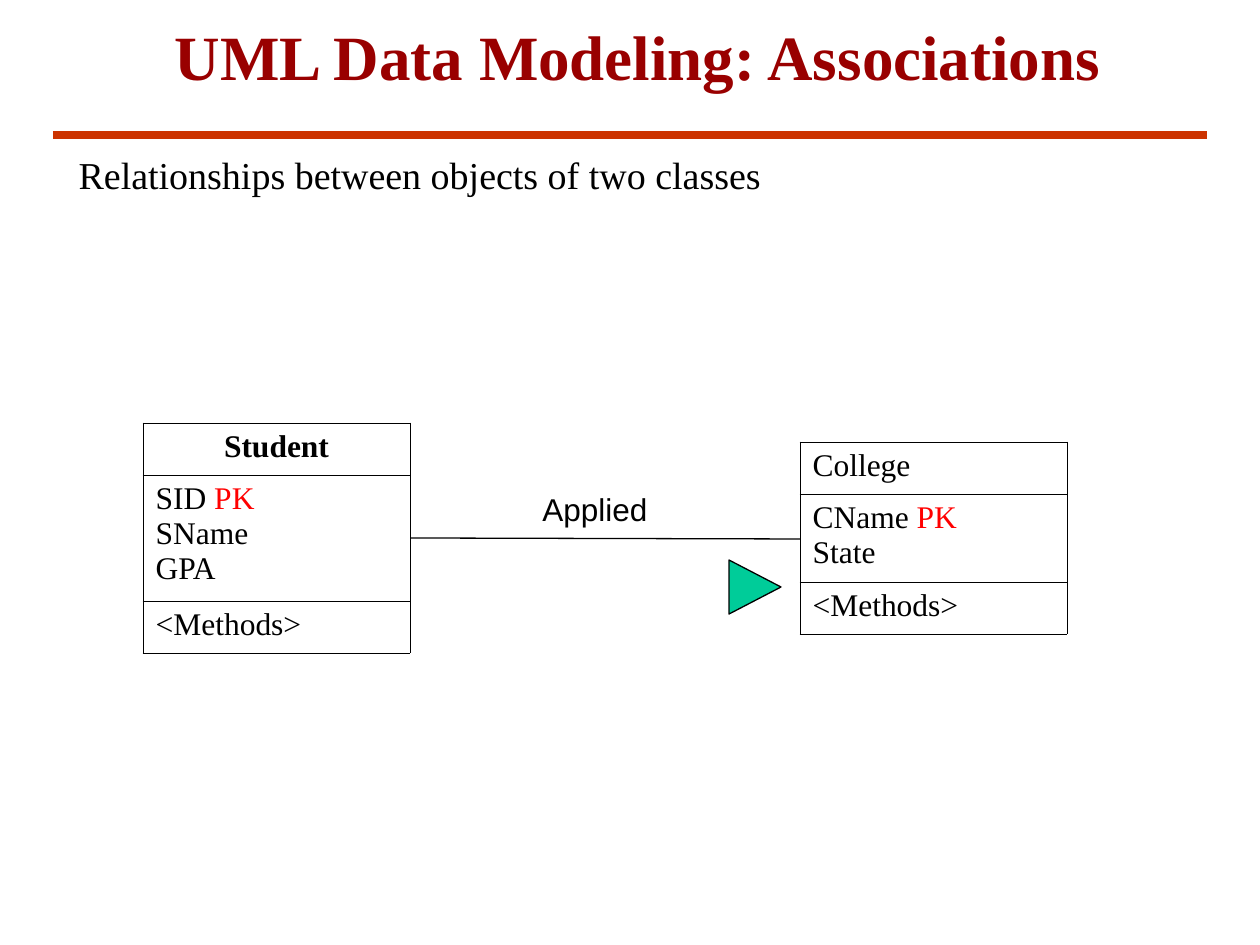
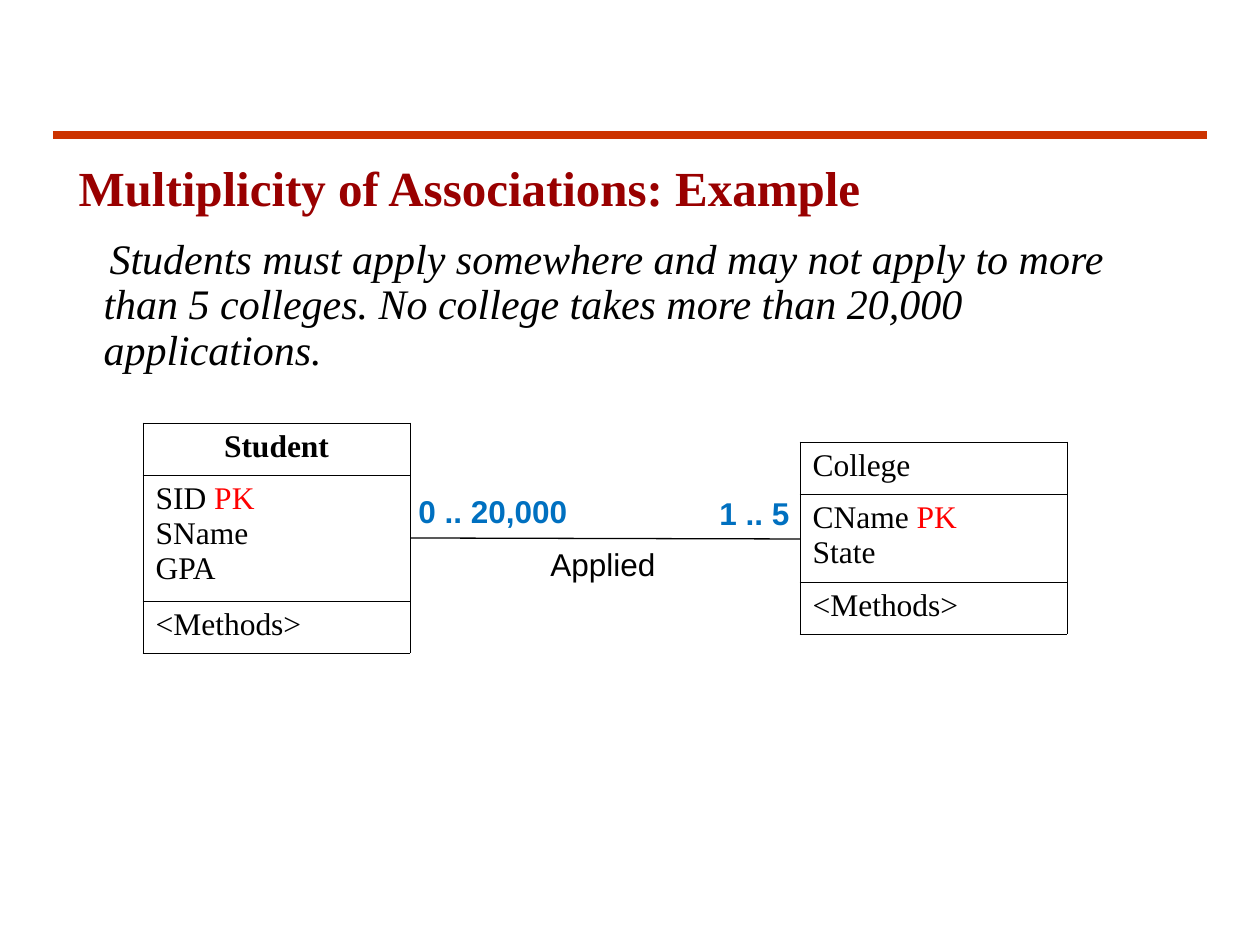
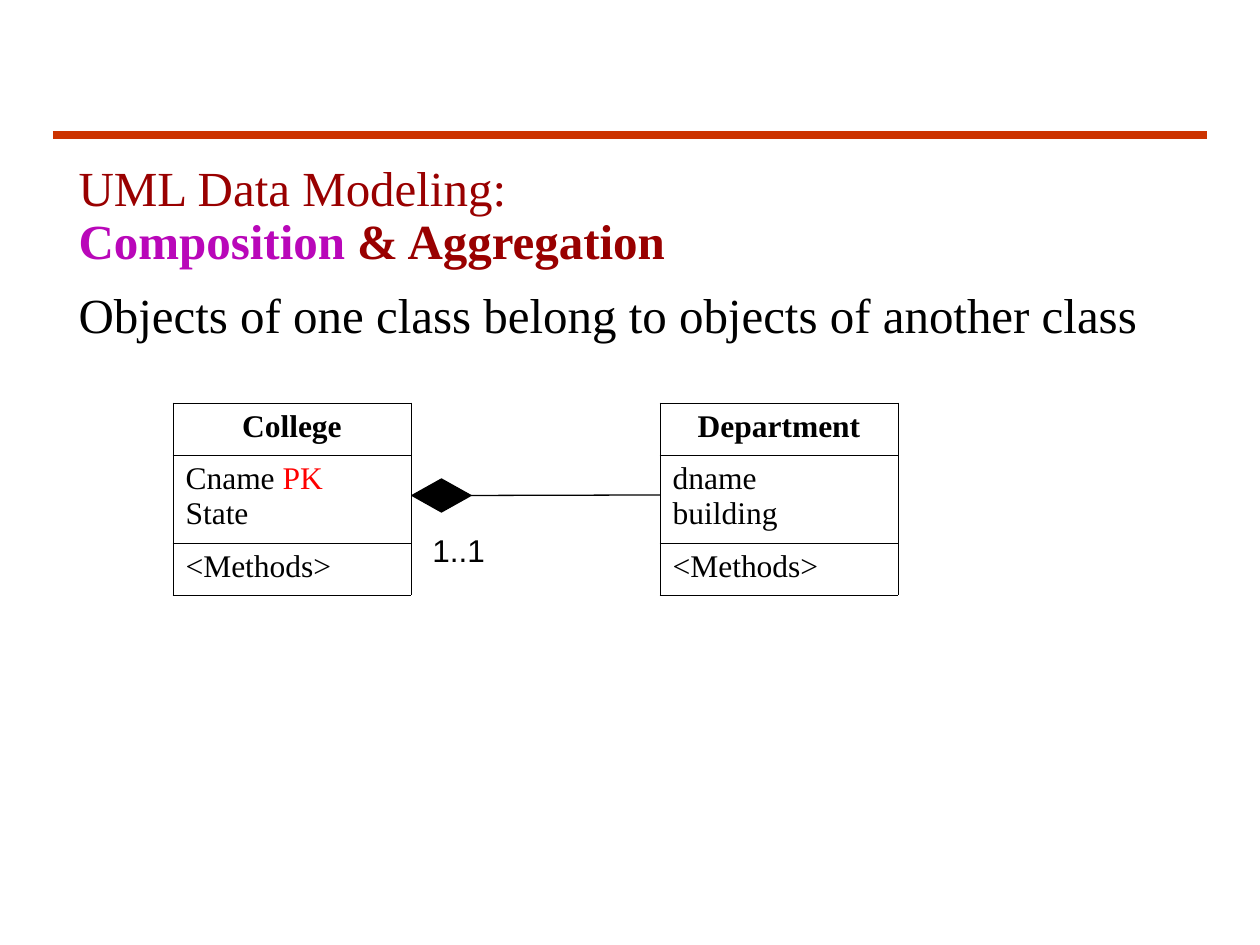
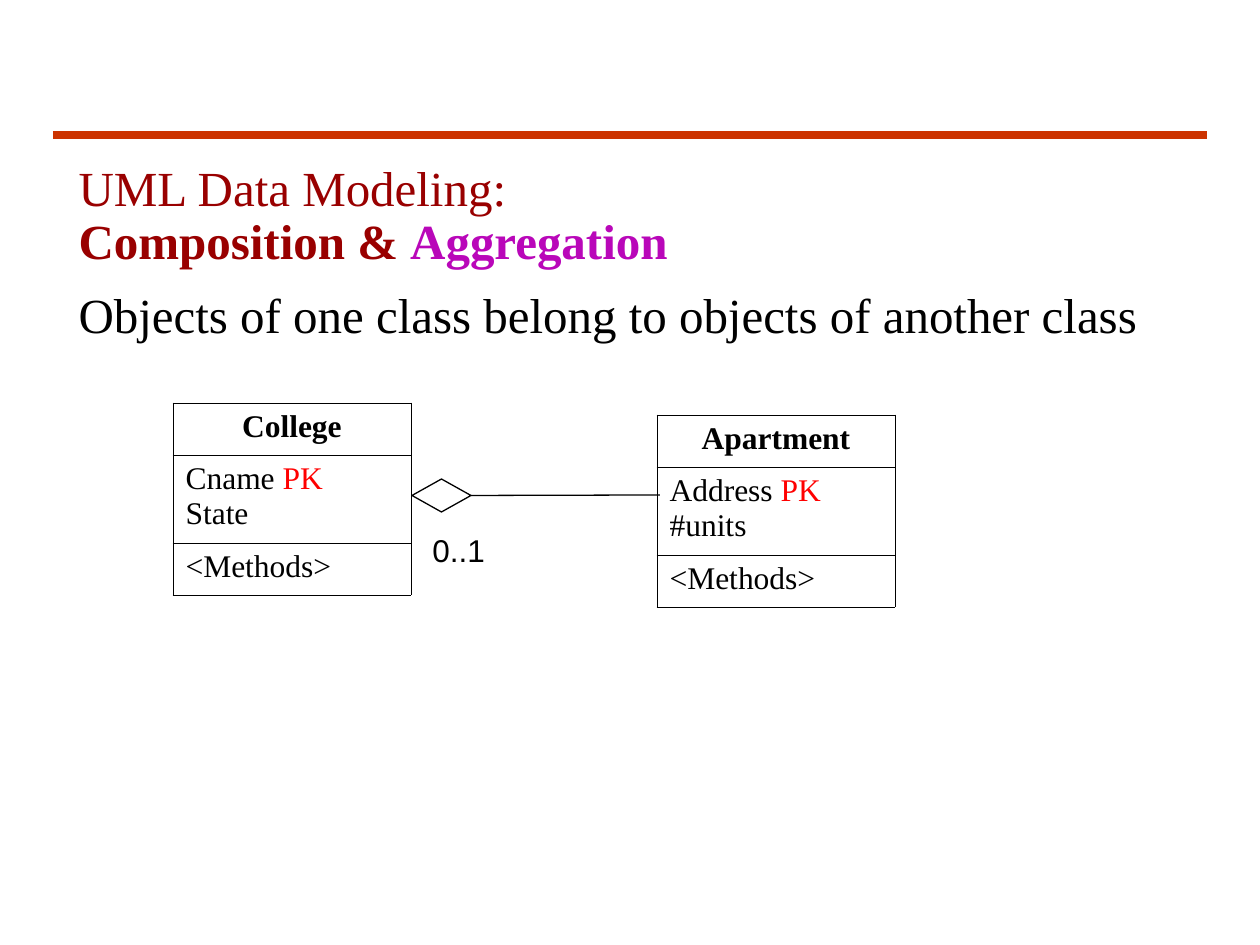
from dataclasses import dataclass

from lxml.etree import SubElement
from pptx import Presentation
from pptx.dml.color import RGBColor
from pptx.enum.shapes import MSO_CONNECTOR, MSO_SHAPE
from pptx.enum.text import MSO_ANCHOR, MSO_AUTO_SIZE, PP_ALIGN
from pptx.oxml.ns import qn
from pptx.util import Emu, Pt

EMU_PER_PX = 914400 / 126


def px(n):
    return Emu(round(n * EMU_PER_PX))


@dataclass(frozen=True)
class Theme:
    serif: str = "Times New Roman"
    sans: str = "Arial"
    black: str = "000000"
    dark_red: str = "990000"
    rule: str = "CC3300"
    key: str = "FF0000"
    accent: str = "B907B9"
    count: str = "0070C0"
    marker: str = "00CC99"
    title: float = 36
    heading: float = 28
    quote: float = 24
    lead: float = 21.7
    label: float = 18
    line: float = 0.75
    border: float = 0.45


T = Theme()


def add_text(p, text, size=T.label, font=T.serif, color=T.black, bold=False, italic=False):
    r = p.add_run()
    r.text = text
    f = r.font
    f.size, f.name, f.bold, f.italic = Pt(size), font, bold, italic
    f.color.rgb = RGBColor.from_string(color)


def format_paragraph(p, spacing, before=0, after=6, first=-25, align=PP_ALIGN.LEFT):
    """Hanging paragraph without a bullet."""
    pPr = p._p.get_or_add_pPr()
    pPr.set("marL", str(px(38)))
    pPr.set("indent", str(px(first)))
    SubElement(pPr, qn("a:buNone"))
    p.line_spacing = spacing
    p.space_before, p.space_after = Pt(before), Pt(after)
    p.alignment = align


class Deck:
    def __init__(self):
        self.prs = Presentation()
        self.prs.slide_width, self.prs.slide_height = px(1260), px(945)
        self.s = None

    def new_slide(self):
        self.s = self.prs.slides.add_slide(self.prs.slide_layouts[1])

    def place(self, sp, x, y, w, h):
        sp.left, sp.top, sp.width, sp.height = px(x), px(y), px(w), px(h)
        tf = sp.text_frame
        tf.word_wrap = True
        tf.auto_size = MSO_AUTO_SIZE.NONE
        tf.vertical_anchor = MSO_ANCHOR.TOP
        return tf

    def title(self, text=None):
        sp = self.s.shapes.title
        if text is None:
            sp.element.getparent().remove(sp.element)
            return
        p = self.place(sp, 111, 26, 1040, 90).paragraphs[0]
        format_paragraph(p, 0.8, align=PP_ALIGN.CENTER)
        add_text(p, text, size=T.title, color=T.dark_red, bold=True)

    def body(self, paragraphs, w=1144, h=627, spacing=0.9):
        """Each paragraph is a pair: its layout and its list of (text, format) runs."""
        tf = self.place(self.s.placeholders[1], 53, 158, w, h)
        for i, (layout, runs) in enumerate(paragraphs):
            p = tf.add_paragraph() if i else tf.paragraphs[0]
            format_paragraph(p, spacing, **layout)
            for text, style in runs:
                add_text(p, text, **style)

    def label(self, text, x, y, w, **style):
        sp = self.s.shapes.add_textbox(px(x), px(y), px(w), px(50))
        sp.text_frame.word_wrap = True
        add_text(sp.text_frame.paragraphs[0], text, font=T.sans, **style)

    def line(self, x1, y1, x2, y2, color=T.black, width=T.line):
        ln = self.s.shapes.add_connector(MSO_CONNECTOR.STRAIGHT, px(x1), px(y1), px(x2), px(y2))
        ln.line.color.rgb = RGBColor.from_string(color)
        ln.line.width = Pt(width)
        SubElement(ln.element.spPr, qn("a:effectLst"))
        return ln

    def master_rule(self):
        """Draw the band under the title and hand it to the master."""
        rule = self.line(53, 135, 1207, 135, T.rule, 4.5)
        rule.element.nvCxnSpPr.cNvPr.set("id", "20")
        self.prs.slide_master.element.cSld.spTree.append(rule.element)

    def shape(self, kind, x, y, w, h, fill=None, rotation=0):
        sp = self.s.shapes.add_shape(kind, px(x), px(y), px(w), px(h))
        sp.shadow.inherit = False
        sp.rotation = rotation
        if fill:
            sp.fill.solid()
            sp.fill.fore_color.rgb = RGBColor.from_string(fill)
        else:
            sp.fill.background()
        sp.line.color.rgb = RGBColor.from_string(T.black)
        sp.line.width = Pt(T.line)
        return sp

    def borders(self, cell):
        tcPr = cell._tc.get_or_add_tcPr()
        for i, side in enumerate(("lnL", "lnR", "lnT", "lnB")):
            ln = tcPr.makeelement(qn("a:" + side), {"w": str(Pt(T.border))})
            SubElement(SubElement(ln, qn("a:solidFill")), qn("a:srgbClr"), val=T.black)
            tcPr.insert(i, ln)

    def uml_class(self, name, attributes, x, y, w, middle=88, strong=True):
        """UML class: name, attributes (PK in red) and methods."""
        heights = (52, middle, 52)
        frame = self.s.shapes.add_table(3, 1, px(x), px(y), px(w), px(sum(heights)))
        table = frame.table
        table.first_row = table.horz_banding = False
        for row, height, lines in zip(table.rows, heights, ([name], attributes, ["<Methods>"])):
            row.height = px(height)
            cell = row.cells[0]
            cell.fill.background()
            self.borders(cell)
            tf = cell.text_frame
            for i, text in enumerate(lines):
                p = tf.add_paragraph() if i else tf.paragraphs[0]
                plain, key, _ = text.partition("PK")
                add_text(p, plain, bold=strong and lines == [name])
                if key:
                    add_text(p, key, color=T.key)
        if strong:
            table.cell(0, 0).text_frame.paragraphs[0].alignment = PP_ALIGN.CENTER

    def association(self):
        """Student and College joined by a plain line."""
        self.uml_class("Student", ["SID PK", "SName", "GPA"], 143, 423, 267, middle=126)
        self.uml_class("College", ["CName PK", "State"], 800, 442, 267, strong=False)
        self.line(411, 538, 800, 539)

    def ownership(self, heading, part, attributes, x, y, count, fill=None):
        """College owning a part class through a diamond."""
        self.new_slide()
        self.title()
        self.body([
            ({"after": 0}, [("UML Data Modeling:", {"size": T.heading, "color": T.dark_red})]),
            ({}, [(text, {"size": T.heading, "color": color, "bold": True})
                  for text, color in heading]),
            ({"before": 6}, [("Objects of one class belong to objects of another class",
                              {"size": T.heading})]),
        ])
        self.uml_class("College", ["Cname PK", "State"], 173, 403, 238)
        self.uml_class(part, attributes, x, y, 238)
        diamond = self.shape(MSO_SHAPE.FLOWCHART_DECISION, 412, 479, 59, 33, fill)
        self.line(471, 495, 660, 495).begin_connect(diamond, 3)
        self.label(count, 420, 525, 79)


def main():
    d = Deck()

    # Associations
    d.new_slide()
    d.master_rule()
    d.title("UML Data Modeling: Associations")
    d.body([({}, [("Relationships between objects of two classes", {"size": T.lead})])],
           h=90, spacing=0.7)
    d.association()
    d.label("Applied", 530, 484, 189)
    d.shape(MSO_SHAPE.ISOSCELES_TRIANGLE, 728, 561, 54, 52, T.marker, rotation=90)

    # Multiplicity
    d.new_slide()
    d.title()
    d.body([
        ({}, [("Multiplicity of Associations: Example",
               {"size": T.heading, "color": T.dark_red, "bold": True})]),
        ({"before": 6, "first": 6},
         [("Students must apply somewhere and may not apply to more than 5 colleges. "
           "No college takes more than 20,000 applications.",
           {"size": T.quote, "italic": True})]),
    ], w=1103)
    d.association()
    d.label("Applied", 538, 539, 189)
    d.label("1 .. 5", 707, 488, 152, color=T.count, bold=True)
    d.label("0 .. 20,000", 406, 486, 213, color=T.count, bold=True)

    # Composition, then aggregation
    d.ownership([("Composition", T.accent), (" & Aggregation", T.dark_red)],
                "Department", ["dname", "building"], 660, 403, "1..1", fill=T.black)
    d.ownership([("Composition & ", T.dark_red), ("Aggregation", T.accent)],
                "Apartment", ["Address PK", "#units"], 657, 415, "0..1")

    d.prs.save("out.pptx")


if __name__ == "__main__":
    main()
